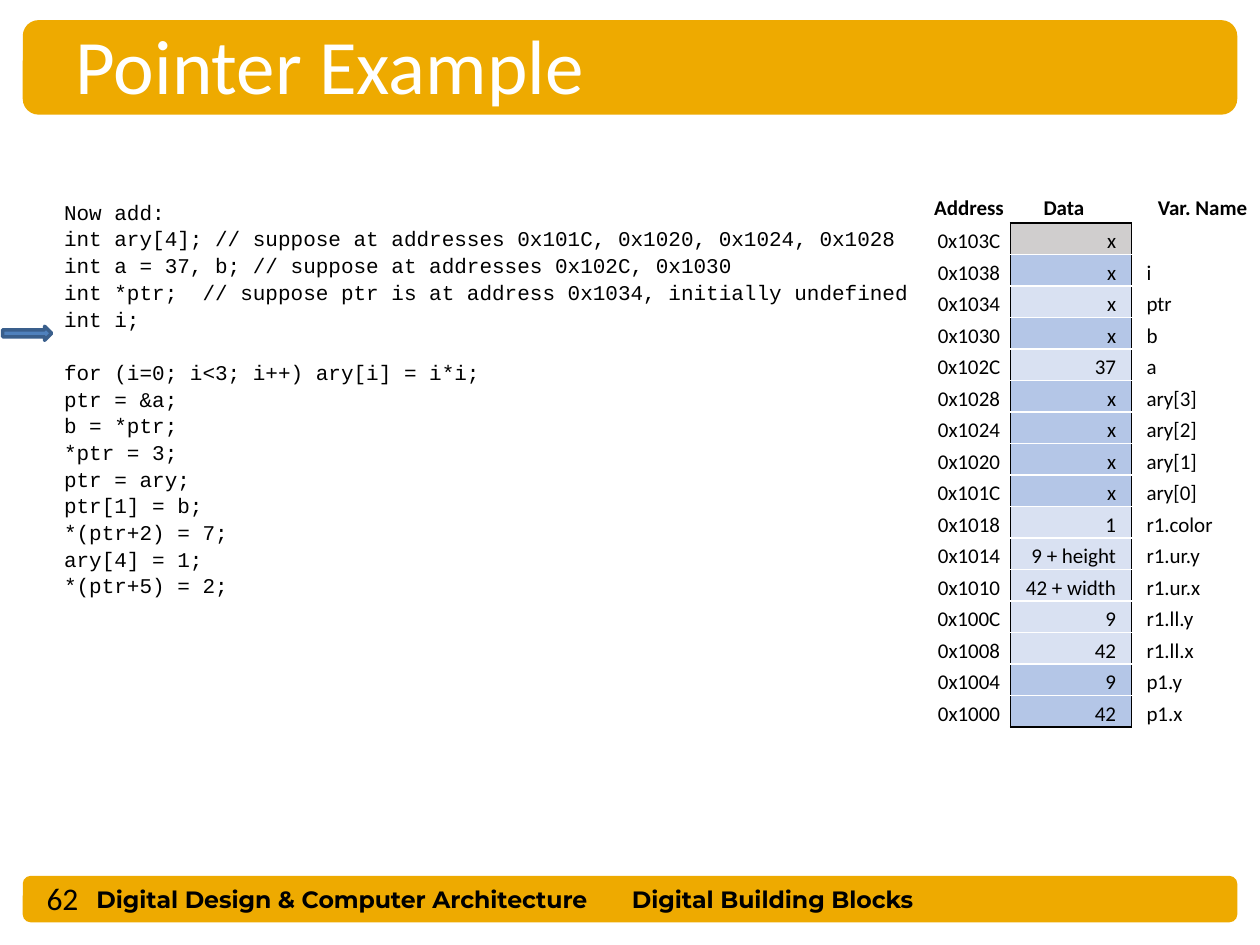
from typing import NamedTuple

from lxml.etree import SubElement
from pptx import Presentation
from pptx.dml.color import RGBColor
from pptx.enum.shapes import MSO_SHAPE as Shape
from pptx.enum.text import MSO_ANCHOR as Anchor, PP_ALIGN as Align
from pptx.oxml.ns import qn
from pptx.util import Pt

GOLD, BLACK, WHITE = "EEAA00", "000000", "FFFFFF"
GREY, DARK, LIGHT = "D0CECE", "B4C6E7", "D9E1F2"


class Frame(NamedTuple):
    left: float
    top: float
    width: float
    height: float


class Label(NamedTuple):
    text: str
    frame: Frame
    font: str
    size: float
    bold: bool = False
    spacing: float = 1.0


class Word(NamedTuple):
    """One memory word; words lie four bytes apart."""
    data: str
    name: str
    shade: str


CODE = """Now add:
int ary[4]; // suppose at addresses 0x101C, 0x1020, 0x1024, 0x1028
int a = 37, b; // suppose at addresses 0x102C, 0x1030
int *ptr;  // suppose ptr is at address 0x1034, initially undefined
int i;

for (i=0; i<3; i++) ary[i] = i*i;
ptr = &a;
b = *ptr;
*ptr = 3;
ptr = ary;
ptr[1] = b;
*(ptr+2) = 7;
ary[4] = 1;
*(ptr+5) = 2;"""

LABELS = [
    Label("Digital Design & Computer Architecture", Frame(48, 502, 320, 24), "Montserrat", 13.5, True),
    Label("Digital Building Blocks", Frame(354, 502, 212, 24), "Montserrat", 13.5, True),
    Label(CODE, Frame(29.5, 109.5, 500.5, 225.5), "Courier New", 12, spacing=1.06),
    Label("62", Frame(19.5, 498.5, 59, 28), "Calibri", 18),
]

TOP_ADDRESS = 0x103C
MEMORY = [
    Word("x", "", GREY),
    Word("x", "i", DARK),
    Word("x", "ptr", LIGHT),
    Word("x", "b", DARK),
    Word("37", "a", LIGHT),
    *[Word("x", f"ary[{index}]", DARK) for index in (3, 2, 1, 0)],
    Word("1", "r1.color", LIGHT),
    Word("9 + height", "r1.ur.y", LIGHT),
    Word("42 + width", "r1.ur.x", LIGHT),
    Word("9", "r1.ll.y", LIGHT),
    Word("42", "r1.ll.x", LIGHT),
    Word("9", "p1.y", DARK),
    Word("42", "p1.x", DARK),
]
COLUMN_WIDTHS = [47.5, 61, 8, 8, 65.5]
ROW_HEIGHT = 18


def color(value: str) -> RGBColor:
    return RGBColor.from_string(value)


def place(frame: Frame) -> list:
    return [Pt(length) for length in frame]


def style(para, font: str, size: float, ink: str = BLACK, bold: bool = False) -> None:
    para.font.name, para.font.size, para.font.bold = font, Pt(size), bold
    para.font.color.rgb = color(ink)


def draw_shape(page, kind, frame: Frame, fill: str, line: str = ""):
    shape = page.shapes.add_shape(kind, *place(frame))
    shape.shadow.inherit = False
    shape.fill.solid()
    shape.fill.fore_color.rgb = color(fill)
    if line:
        shape.line.color.rgb = color(line)
        shape.line.width = Pt(2)
    else:
        shape.line.fill.background()
    return shape


def draw_label(page, label: Label) -> None:
    box = page.shapes.add_textbox(*place(label.frame))
    box.text_frame.word_wrap = True
    box.text_frame.text = label.text
    for para in box.text_frame.paragraphs:
        para.line_spacing = label.spacing
        style(para, label.font, label.size, bold=label.bold)


def fill_cell(cell, text: str, align, bold: bool, borders: dict, shade: str = "") -> None:
    cell.margin_left = cell.margin_right = cell.margin_top = Pt(0.72)
    cell.margin_bottom = Pt(0)
    cell.vertical_anchor = Anchor.MIDDLE if bold else Anchor.BOTTOM
    cell.text = text
    para = cell.text_frame.paragraphs[0]
    para.alignment = align
    style(para, "Calibri", 12, bold=bold)
    # Borders come before the fill in the cell properties
    properties = cell._tc.get_or_add_tcPr()
    for side in "LRTB":
        line = SubElement(properties, qn(f"a:ln{side}"), w=str(Pt(1)))
        if side in borders:
            solid = SubElement(line, qn("a:solidFill"))
            SubElement(solid, qn("a:srgbClr"), val=borders[side])
        else:
            SubElement(line, qn("a:noFill"))
    if shade:
        cell.fill.solid()
        cell.fill.fore_color.rgb = color(shade)
    else:
        cell.fill.background()


def draw_memory(page, left: float, top: float) -> None:
    rows = len(MEMORY) + 1
    frame = Frame(left, top, sum(COLUMN_WIDTHS), rows * ROW_HEIGHT)
    table = page.shapes.add_table(rows, len(COLUMN_WIDTHS), *place(frame)).table
    table.first_row = table.horz_banding = False
    for column, width in zip(table.columns, COLUMN_WIDTHS):
        column.width = Pt(width)
    for row in table.rows:
        row.height = Pt(ROW_HEIGHT)

    # Header
    for index, text in enumerate(["Address", "Data", "", "", "Var. Name"]):
        borders = {"B": BLACK} if index in (1, 2) else {}
        fill_cell(table.cell(0, index), text, Align.CENTER, True, borders)

    # Memory words, with a black frame round the data and white rules inside
    for index, word in enumerate(MEMORY, start=1):
        rules = {"T": BLACK if index == 1 else WHITE,
                 "B": BLACK if index == len(MEMORY) else WHITE}
        address = f"0x{TOP_ADDRESS - 4 * (index - 1):04X}"
        cells = [
            (address, Align.CENTER, {"R": BLACK}, ""),
            (word.data, Align.RIGHT, {"L": BLACK, **rules}, word.shade),
            ("", Align.LEFT, {"R": BLACK, **rules}, word.shade),
            ("", Align.LEFT, {"L": BLACK}, ""),
            (word.name, Align.LEFT, {}, ""),
        ]
        for column, (text, align, borders, shade) in enumerate(cells):
            fill_cell(table.cell(index, column), text, align, False, borders, shade)


def main() -> None:
    deck = Presentation()
    deck.slide_width, deck.slide_height = Pt(720), Pt(540)
    page = deck.slides.add_slide(deck.slide_layouts[5])

    # Bars
    draw_shape(page, Shape.ROUNDED_RECTANGLE, Frame(13, 500.5, 694, 26.5), GOLD)
    title_bar = draw_shape(page, Shape.ROUNDED_RECTANGLE, Frame(13, 11.5, 694, 54), GOLD)

    # Title, in front of its bar
    title = page.shapes.title
    title_bar.element.addnext(title.element)
    title.left, title.top, title.width, title.height = place(Frame(36, 6, 624, 60.5))
    title.text_frame.text = "Pointer Example"
    heading = title.text_frame.paragraphs[0]
    heading.alignment = Align.LEFT
    style(heading, "Calibri", 44, WHITE)

    # Footer, code and page number
    for label in LABELS:
        draw_label(page, label)

    # Marker of the current line, and memory map
    draw_shape(page, Shape.RIGHT_ARROW, Frame(1.5, 186.5, 28, 8), "4F81BD", "3A5F8C")
    draw_memory(page, 530, 109.5)

    deck.save("out.pptx")


if __name__ == "__main__":
    main()
